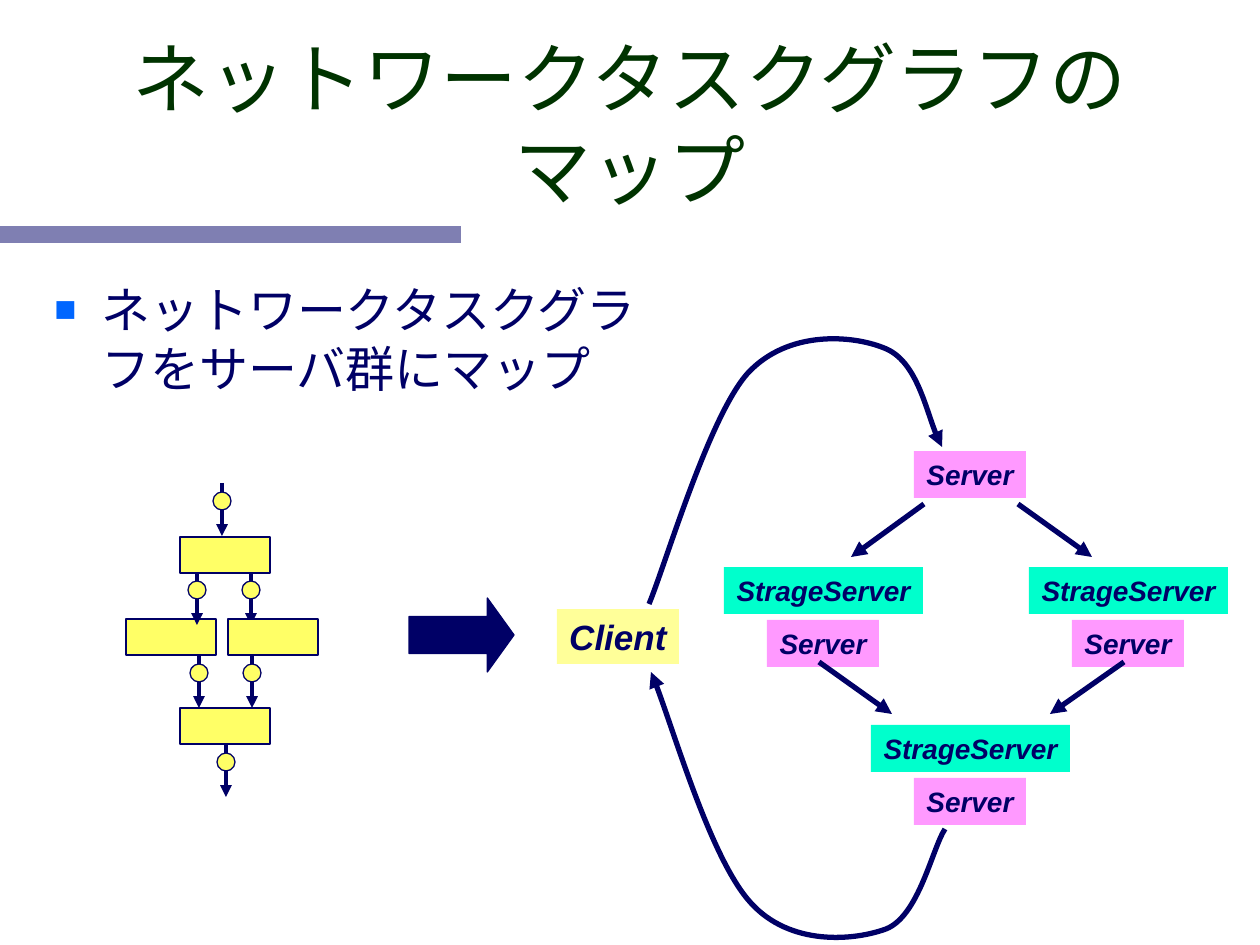
from pptx import Presentation
from pptx.dml.color import RGBColor
from pptx.enum.shapes import MSO_CONNECTOR, MSO_SHAPE
from pptx.enum.text import MSO_ANCHOR, PP_ALIGN
from pptx.oxml.ns import qn
from pptx.util import Pt
from lxml.etree import SubElement

SCALE = 914400 / 126
COLORS = {
    "navy": "000066",
    "title": "003300",
    "bullet": "0066FF",
    "storage": "00FFCC",
    "server": "FF99FF",
    "client": "FFFF99",
    "task": "FFFF66",
}


def emu(*lengths):
    return [round(length * SCALE) for length in lengths]


class Painter:
    font = "Arial"
    ink = "navy"

    def __init__(self, page):
        self.page = page

    def color(self, name):
        return RGBColor.from_string(COLORS[name])

    def fill_text(self, frame, text, size, color, align, bold=False):
        frame.text = text
        para = frame.paragraphs[0]
        para.alignment = align
        for span in para.runs:
            span.font.name = self.font
            span.font.size = Pt(size)
            span.font.bold = bold
            span.font.italic = bold
            span.font.color.rgb = self.color(color)
        return para

    def text(self, place, text, size, color, align, anchor=MSO_ANCHOR.TOP):
        box = self.page.shapes.add_textbox(*emu(*place))
        box.text_frame.word_wrap = True
        box.text_frame.vertical_anchor = anchor
        return self.fill_text(box.text_frame, text, size, color, align)

    def bullet(self, place, text, size):
        para = self.text(place, text, size, self.ink, PP_ALIGN.LEFT)
        settings = para._p.get_or_add_pPr()
        indent = emu(47)[0]
        settings.set("marL", str(indent))
        settings.set("indent", str(-indent))
        tint = SubElement(settings, qn("a:buClr"))
        SubElement(tint, qn("a:srgbClr"), val=COLORS["bullet"])
        SubElement(settings, qn("a:buSzPct"), val="75000")
        SubElement(settings, qn("a:buFont"), typeface=self.font)
        SubElement(settings, qn("a:buChar"), char="■")

    def shape(self, kind, place, fill, outline=False):
        shape = self.page.shapes.add_shape(kind, *emu(*place))
        shape.shadow.inherit = False
        shape.fill.solid()
        shape.fill.fore_color.rgb = self.color(fill)
        if outline:
            shape.line.color.rgb = self.color(self.ink)
            shape.line.width = Pt(0.75)
        else:
            shape.line.fill.background()
        return shape

    def band(self, place, opacity):
        shape = self.shape(MSO_SHAPE.RECTANGLE, place, self.ink)
        tint = shape._element.spPr.find(qn("a:solidFill"))[0]
        SubElement(tint, qn("a:alpha"), val=str(opacity * 1000))

    def label(self, place, text, fill, size=16):
        frame = self.shape(MSO_SHAPE.RECTANGLE, place, fill).text_frame
        frame.word_wrap = False
        frame.vertical_anchor = MSO_ANCHOR.TOP
        self.fill_text(frame, text, size, self.ink, PP_ALIGN.CENTER, bold=True)

    def server(self, left, top):
        self.label((left, top, 112, 47), "Server", "server")

    def storage(self, left, top):
        self.label((left, top, 199, 47), "StrageServer", "storage")
        self.server(left + 43, top + 53)

    def stroke(self, line, width, end):
        line.color.rgb = self.color(self.ink)
        line.width = Pt(width)
        SubElement(line._get_or_add_ln(), qn(f"a:{end}"), type="triangle")

    def arrow(self, start, finish, width=3):
        arrow = self.page.shapes.add_connector(
            MSO_CONNECTOR.STRAIGHT, *emu(*start, *finish))
        self.stroke(arrow.line, width, "tailEnd")
        SubElement(arrow._element.spPr, qn("a:effectLst"))

    def curve(self, points, end):
        builder = self.page.shapes.build_freeform(*points[0], scale=SCALE)
        builder.add_line_segments(points[1:], close=False)
        shape = builder.convert_to_shape()
        shape.shadow.inherit = False
        shape.fill.background()
        self.stroke(shape.line, 3, end)
        outline = next(shape._element.iter(qn("a:path")))
        segments = outline.findall(qn("a:lnTo"))
        for first in range(0, len(segments), 3):
            bezier = SubElement(outline, qn("a:cubicBezTo"))
            for segment in segments[first:first + 3]:
                bezier.append(segment[0])
                outline.remove(segment)

    def task(self, left, top):
        self.shape(MSO_SHAPE.RECTANGLE, (left, top, 90, 36), "task", True)

    def link(self, center, top):
        self.arrow((center, top), (center, top + 53), 2.25)
        self.shape(MSO_SHAPE.OVAL, (center - 9, top + 9, 18, 18), "task", True)


def main():
    deck = Presentation()
    deck.slide_width, deck.slide_height = emu(1260, 945)
    page = deck.slides.add_slide(deck.slide_layouts[6])
    painter = Painter(page)

    painter.band((0, 226, 461, 17), 50)
    painter.text((95, 63, 1070, 158), "ネットワークタスクグラフのマップ", 44,
                 "title", PP_ALIGN.CENTER, MSO_ANCHOR.BOTTOM)
    painter.bullet((42, 273, 620, 168), "ネットワークタスクグラフをサーバ群にマップ", 28)

    painter.label((557, 609, 122, 55), "Client", "client", 20)
    painter.server(914, 451)
    for left, top in ((724, 567), (1029, 567), (871, 725)):
        painter.storage(left, top)
    for start, finish in (
        ((924, 504), (851, 557)),
        ((1018, 504), (1092, 557)),
        ((819, 662), (892, 714)),
        ((1124, 662), (1050, 714)),
    ):
        painter.arrow(start, finish)

    painter.curve([(649, 604), (665, 566), (709, 416), (748, 373), (788, 330),
                   (852, 335), (884, 348), (916, 360), (930, 427), (942, 447)],
                  "tailEnd")
    painter.curve([(651, 672), (668, 711), (712, 861), (751, 903), (790, 946),
                   (853, 941), (886, 929), (919, 916), (932, 849), (945, 829)],
                  "headEnd")

    painter.task(180, 708)
    painter.task(126, 619)
    for center, top in ((226, 744), (199, 655), (252, 655),
                        (222, 483), (197, 572), (251, 572)):
        painter.link(center, top)
    painter.task(228, 619)
    painter.task(180, 537)

    block = painter.shape(MSO_SHAPE.RIGHT_ARROW, (409, 598, 105, 74), "navy", True)
    block.adjustments[0] = 0.5
    block.adjustments[1] = 0.36

    deck.save("out.pptx")


if __name__ == "__main__":
    main()
